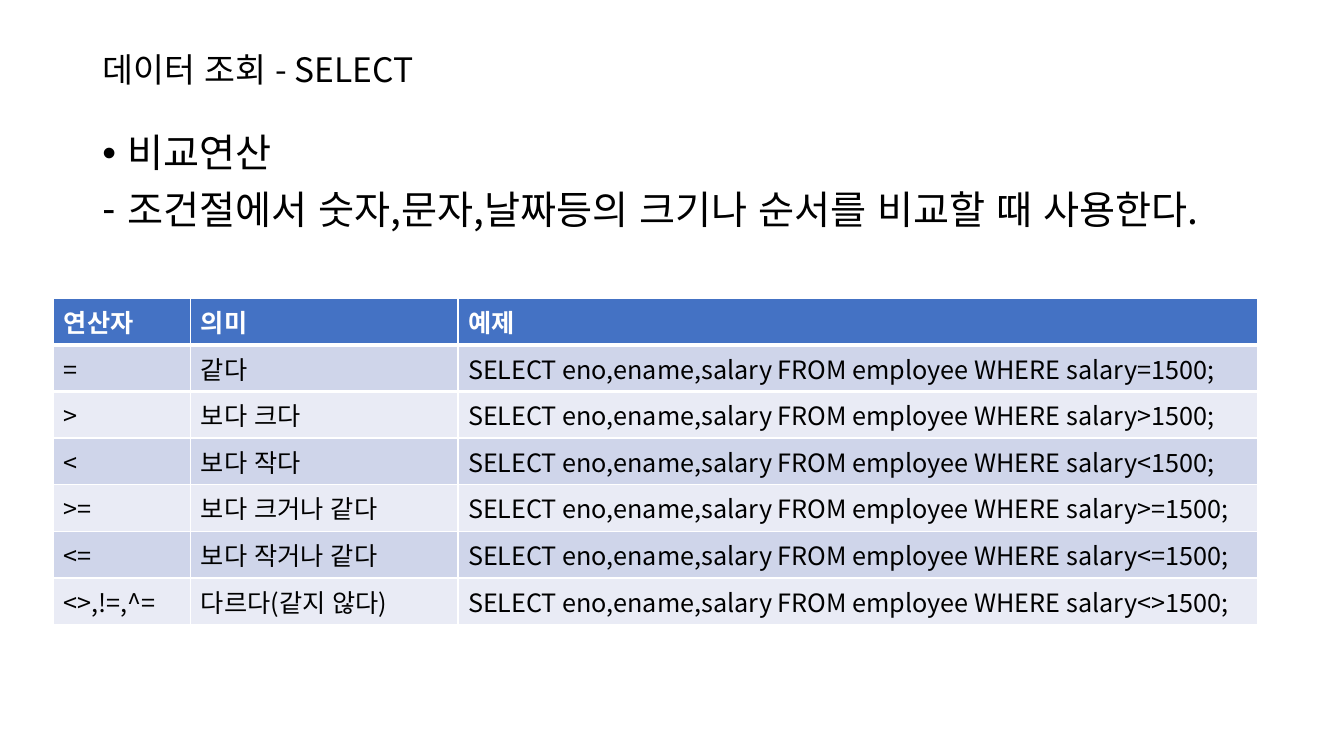
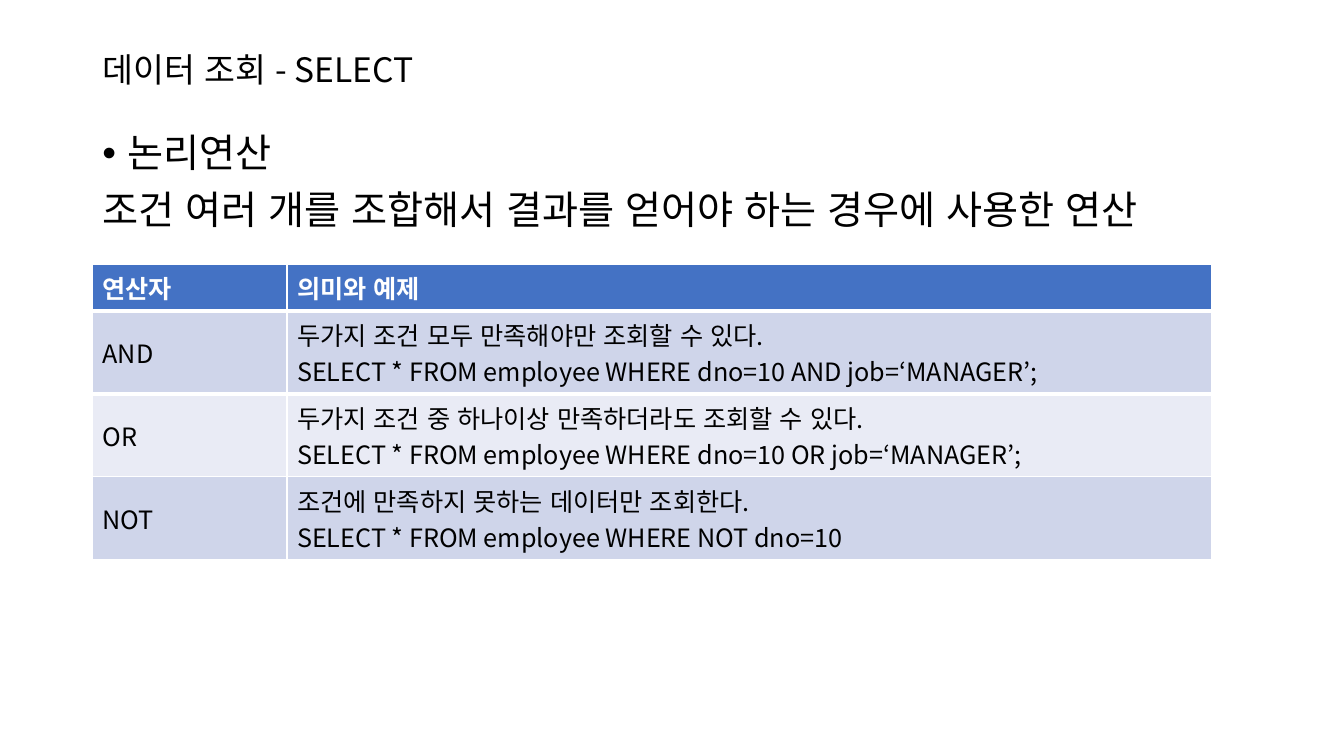
from lxml import etree
from pptx import Presentation
from pptx.dml.color import RGBColor
from pptx.enum.lang import MSO_LANGUAGE_ID
from pptx.enum.text import MSO_ANCHOR
from pptx.oxml.ns import qn
from pptx.util import Inches, Pt

MIDDLE = MSO_ANCHOR.MIDDLE
TOP = MSO_ANCHOR.TOP
KOREAN = MSO_LANGUAGE_ID.KOREAN

FONT = "Noto Sans CJK KR"
BLACK = RGBColor(0x00, 0x00, 0x00)
WHITE = RGBColor(0xFF, 0xFF, 0xFF)
HEADER_BLUE = RGBColor(0x44, 0x72, 0xC4)
BANDS = (RGBColor(0xCF, 0xD5, 0xEA), RGBColor(0xE9, 0xEB, 0xF5))

SLIDE_WIDTH, SLIDE_HEIGHT = Inches(13.333), Inches(7.5)
BULLET_INDENT = Inches(0.25)

# Boxes are left, top, width, height in percent of the slide.
MARGIN = 6.88
TITLE_BOX = (MARGIN, 5.32, 30.31, 8.27)
BODY_TOP, BODY_HEIGHT = 17.05, 79.07
ONE_LINE_ROW, TWO_LINE_ROW = 6.17, 10.98

TITLE = "데이터 조회 - SELECT"

QUERY = "SELECT eno,ename,salary FROM employee WHERE salary{}1500;"
COMPARISONS = [
    ("=", "같다", "="),
    (">", "보다 크다", ">"),
    ("<", "보다 작다", "<"),
    (">=", "보다 크거나 같다", ">="),
    ("<=", "보다 작거나 같다", "<="),
    ("<>,!=,^=", "다르다(같지 않다)", "<>"),
]
LOGIC_ROWS = [
    ("AND", "두가지 조건 모두 만족해야만 조회할 수 있다.\n"
            "SELECT * FROM employee WHERE dno=10 AND job=‘MANAGER’;"),
    ("OR", "두가지 조건 중 하나이상 만족하더라도 조회할 수 있다.\n"
           "SELECT * FROM employee WHERE dno=10 OR job=‘MANAGER’;"),
    ("NOT", "조건에 만족하지 못하는 데이터만 조회한다.\n"
            "SELECT * FROM employee WHERE NOT dno=10"),
]


def to_emu(box):
    """Turn a box in percent of the slide into lengths."""
    sides = (SLIDE_WIDTH, SLIDE_HEIGHT) * 2
    return [int(share * side / 100) for share, side in zip(box, sides)]


def style_runs(paragraph, size, color=BLACK, bold=False):
    """Format all runs, for Latin and Korean text alike."""
    for run in paragraph.runs:
        font = run.font
        font.name, font.size, font.bold = FONT, Pt(size), bold
        font.language_id = KOREAN
        font.color.rgb = color
        east_asian = etree.Element(qn("a:ea"), typeface=FONT)
        run._r.rPr.find(qn("a:latin")).addnext(east_asian)


def add_bullet(paragraph, mark):
    """Give a paragraph a hanging bullet."""
    properties = paragraph._p.get_or_add_pPr()
    properties.set("marL", str(BULLET_INDENT))
    properties.set("indent", str(-BULLET_INDENT))
    etree.SubElement(properties, qn("a:buFont"), typeface="Arial")
    etree.SubElement(properties, qn("a:buChar"), char=mark)


def add_text(slide, box, lines, size, anchor=TOP, space_before=0):
    """Place (bullet mark, text) lines in a box."""
    frame = slide.shapes.add_textbox(*to_emu(box)).text_frame
    frame.word_wrap = True
    frame.vertical_anchor = anchor
    frame.text = "\n".join(text for _, text in lines)
    for paragraph, (mark, _) in zip(frame.paragraphs, lines):
        paragraph.line_spacing = 0.9
        paragraph.space_before = Pt(space_before)
        if mark:
            add_bullet(paragraph, mark)
        style_runs(paragraph, size)


def set_border(cell, side, width):
    """Draw one white cell border; the side is a tag such as a:lnB."""
    line = etree.Element(qn(side), w=str(Pt(width)))
    fill = etree.SubElement(line, qn("a:solidFill"))
    etree.SubElement(fill, qn("a:srgbClr"), val=str(WHITE))
    cell._tc.get_or_add_tcPr().insert(0, line)


def add_operator_table(slide, box, row_height, column_weights, header, rows, anchor):
    """Place a banded table; the box height is that of the header row."""
    left, top, width, header_height = to_emu(box)
    body_height = int(SLIDE_HEIGHT * row_height / 100)
    records = [header, *rows]
    table = slide.shapes.add_table(len(records), len(header), left, top, width,
                                   header_height + body_height * len(rows)).table
    for column, weight in zip(table.columns, column_weights):
        column.width = int(width * weight / sum(column_weights))
    for r, record in enumerate(records):
        is_header = r == 0
        table.rows[r].height = header_height if is_header else body_height
        for c, text in enumerate(record):
            cell = table.cell(r, c)
            cell.text = text
            cell.vertical_anchor = anchor
            cell.fill.solid()
            cell.fill.fore_color.rgb = HEADER_BLUE if is_header else BANDS[(r - 1) % 2]
            if r < 2:
                set_border(cell, "a:lnB" if is_header else "a:lnT", 3)
            for paragraph in cell.text_frame.paragraphs:
                style_runs(paragraph, 18, WHITE if is_header else BLACK, is_header)


def add_operator_slide(deck, lines, body_width, **table):
    """Build a slide with the shared title, an explanation and a table."""
    slide = deck.slides.add_slide(deck.slide_layouts[6])
    add_text(slide, TITLE_BOX, [("", TITLE)], 24, anchor=MIDDLE)
    add_text(slide, (MARGIN, BODY_TOP, body_width, BODY_HEIGHT), lines, 28,
             space_before=10)
    add_operator_table(slide, **table)


deck = Presentation()
deck.slide_width, deck.slide_height = SLIDE_WIDTH, SLIDE_HEIGHT

add_operator_slide(
    deck,
    [("•", "비교연산"),
     ("-", "조건절에서 숫자,문자,날짜등의 크기나 순서를 비교할 때 사용한다.")],
    body_width=86.25,
    box=(4, 39.44, 89.55, ONE_LINE_ROW),
    row_height=ONE_LINE_ROW,
    column_weights=(1.36, 2.65, 7.93),
    header=("연산자", "의미", "예제"),
    rows=[(sign, meaning, QUERY.format(operator))
          for sign, meaning, operator in COMPARISONS],
    anchor=TOP,
)
add_operator_slide(
    deck,
    [("•", "논리연산"),
     ("", "조건 여러 개를 조합해서 결과를 얻어야 하는 경우에 사용한 연산")],
    body_width=87.45,
    box=(MARGIN, 34.95, 83.25, ONE_LINE_ROW),
    row_height=TWO_LINE_ROW,
    column_weights=(1.93, 9.17),
    header=("연산자", "의미와 예제"),
    rows=LOGIC_ROWS,
    anchor=MIDDLE,
)

deck.save("out.pptx")
